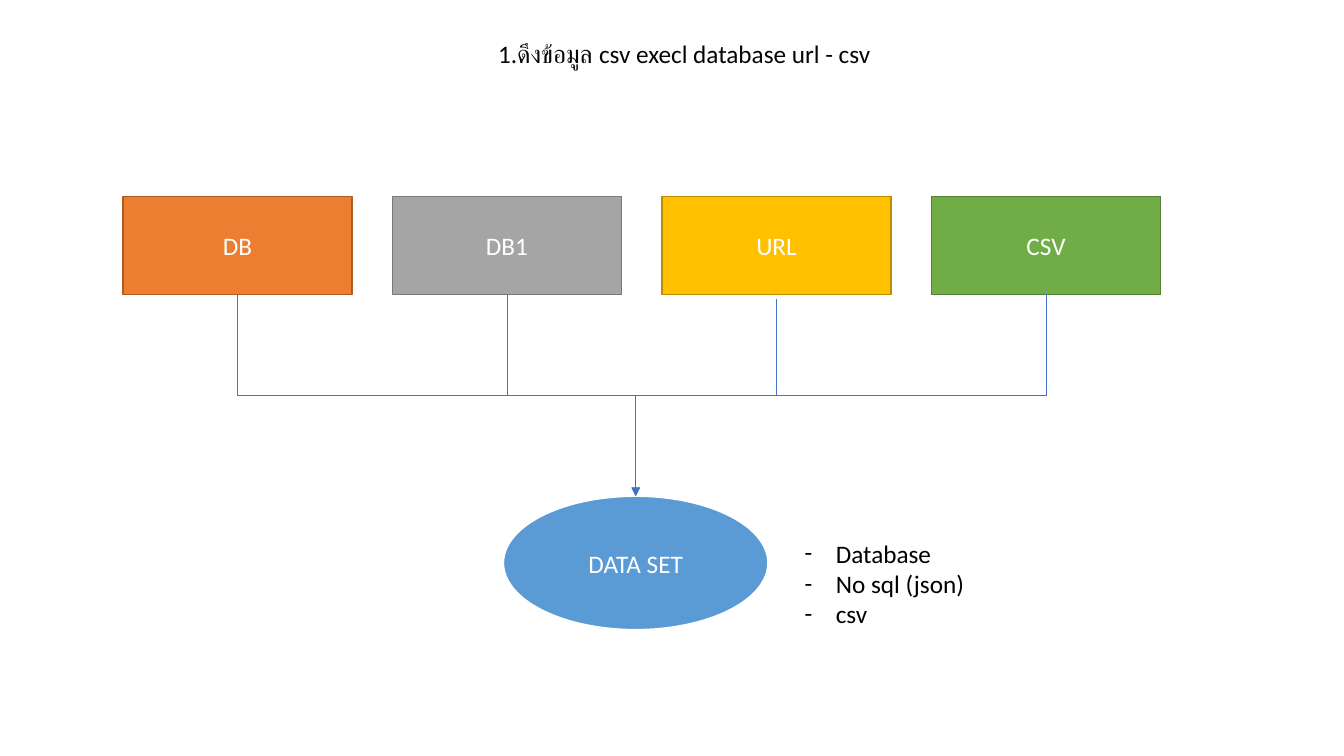
from dataclasses import dataclass

from lxml import etree
from pptx import Presentation
from pptx.dml.color import RGBColor
from pptx.enum.shapes import MSO_CONNECTOR, MSO_SHAPE
from pptx.enum.text import MSO_ANCHOR, MSO_AUTO_SIZE, PP_ALIGN
from pptx.oxml.ns import qn
from pptx.util import Inches, Pt

ELBOW = MSO_CONNECTOR.ELBOW
RECTANGLE, OVAL = MSO_SHAPE.RECTANGLE, MSO_SHAPE.OVAL
TOP, MIDDLE = MSO_ANCHOR.TOP, MSO_ANCHOR.MIDDLE
FIT_SHAPE = MSO_AUTO_SIZE.SHAPE_TO_FIT_TEXT
LEFT, CENTER = PP_ALIGN.LEFT, PP_ALIGN.CENTER


@dataclass(frozen=True)
class Theme:
    font: str = "Calibri"
    size: float = 18
    title: str = "050505"
    text: str = "000000"
    light: str = "FFFFFF"
    data_set: str = "5B9BD5"
    connector: str = "4472C4"
    connector_width: float = 0.5
    sources: tuple = (
        ("DB", "ED7D31", "AF5C24"),
        ("DB1", "A5A5A5", "7A7A7A"),
        ("URL", "FFC000", "BD8E00"),
        ("CSV", "70AD47", "538035"),
    )


class SlideBuilder:
    """Draws styled elements on the current slide."""

    def __init__(self, slide, theme):
        self.slide = slide
        self.theme = theme

    def add_text(self, paragraph, text, color, alignment):
        paragraph.alignment = alignment
        paragraph.space_before = Pt(0)
        paragraph.line_spacing = 1.0
        run = paragraph.add_run()
        run.text = text
        run.font.name = self.theme.font
        run.font.size = Pt(self.theme.size)
        run.font.color.rgb = RGBColor.from_string(color)

    def fill_placeholder(self, placeholder, box, lines, color, margin, indent=0, bullet=None):
        placeholder.left, placeholder.top, placeholder.width, placeholder.height = map(Inches, box)
        frame = placeholder.text_frame
        frame.word_wrap = True
        frame.auto_size = FIT_SHAPE
        frame.vertical_anchor = TOP
        for index, line in enumerate(lines):
            paragraph = frame.add_paragraph() if index else frame.paragraphs[0]
            self.add_text(paragraph, line, color, LEFT)
            properties = paragraph._p.get_or_add_pPr()
            properties.set("marL", str(Inches(margin)))
            properties.set("indent", str(Inches(indent)))
            if bullet:
                etree.SubElement(properties, qn("a:buFont"), typeface=self.theme.font)
                etree.SubElement(properties, qn("a:buChar"), char=bullet)

    def title(self, text, box, margin):
        self.fill_placeholder(self.slide.shapes.title, box, [text], self.theme.title, margin)

    def bullets(self, lines, box):
        body = self.slide.placeholders[1]
        self.fill_placeholder(body, box, lines, self.theme.text, 0.31, -0.31, "-")

    def node(self, kind, box, text, fill, line, line_width):
        shape = self.slide.shapes.add_shape(kind, *map(Inches, box))
        shape.shadow.inherit = False
        shape.fill.solid()
        shape.fill.fore_color.rgb = RGBColor.from_string(fill)
        shape.line.color.rgb = RGBColor.from_string(line)
        shape.line.width = Pt(line_width)
        shape.text_frame.vertical_anchor = MIDDLE
        self.add_text(shape.text_frame.paragraphs[0], text, self.theme.light, CENTER)

    def elbow_arrow(self, start, end, bend_y):
        (start_x, start_y), (end_x, end_y) = start, end
        length, spread = end_y - start_y, abs(end_x - start_x)
        left = (start_x + end_x - length) / 2
        top = (start_y + end_y - spread) / 2
        corners = (left, top, left + length, top + spread)
        connector = self.slide.shapes.add_connector(ELBOW, *map(Inches, corners))
        connector.line.color.rgb = RGBColor.from_string(self.theme.connector)
        connector.line.width = Pt(self.theme.connector_width)
        properties = connector.element.spPr
        transform = properties.find(qn("a:xfrm"))
        if start_x < end_x:
            transform.set("rot", "16200000")
            transform.set("flipH", "1")
        else:
            transform.set("rot", "5400000")
        adjustments = properties.find(qn("a:prstGeom")).find(qn("a:avLst"))
        bend = round((bend_y - start_y) / length * 100000)
        etree.SubElement(adjustments, qn("a:gd"), name="adj1", fmla=f"val {bend}")
        etree.SubElement(properties.find(qn("a:ln")), qn("a:tailEnd"), type="triangle")
        etree.SubElement(properties, qn("a:effectLst"))


def main():
    theme = Theme()
    presentation = Presentation()
    presentation.slide_width = Inches(13.33)
    presentation.slide_height = Inches(7.5)
    slide = presentation.slides.add_slide(presentation.slide_layouts[1])
    builder = SlideBuilder(slide, theme)

    builder.title("1.ดึงข้อมูล csv execl database url - csv", (2.84, 0.33, 6.67, 0.4), 2)
    builder.bullets(["Database", "No sql (json)", "csv"], (7.88, 5.29, 3.81, 1.01))

    first_left, last_left, source_top = 1.22, 9.24, 1.95
    source_width, source_height = 2.27, 0.97
    pitch = (last_left - first_left) / (len(theme.sources) - 1)
    data_set_box = (4.99, 4.92, 2.63, 1.33)
    builder.node(OVAL, data_set_box, "DATA SET", theme.data_set, theme.light, 1.5)
    arrow_end = (data_set_box[0] + data_set_box[2] / 2, data_set_box[1])

    for index, (name, fill, line) in enumerate(theme.sources):
        left = first_left + index * pitch
        box = (left, source_top, source_width, source_height)
        builder.node(RECTANGLE, box, name, fill, line, 1)
        gap = 0.05 if name == "URL" else 0
        arrow_start = (left + source_width / 2, source_top + source_height + gap)
        builder.elbow_arrow(arrow_start, arrow_end, 3.92)

    presentation.save("out.pptx")


if __name__ == "__main__":
    main()
